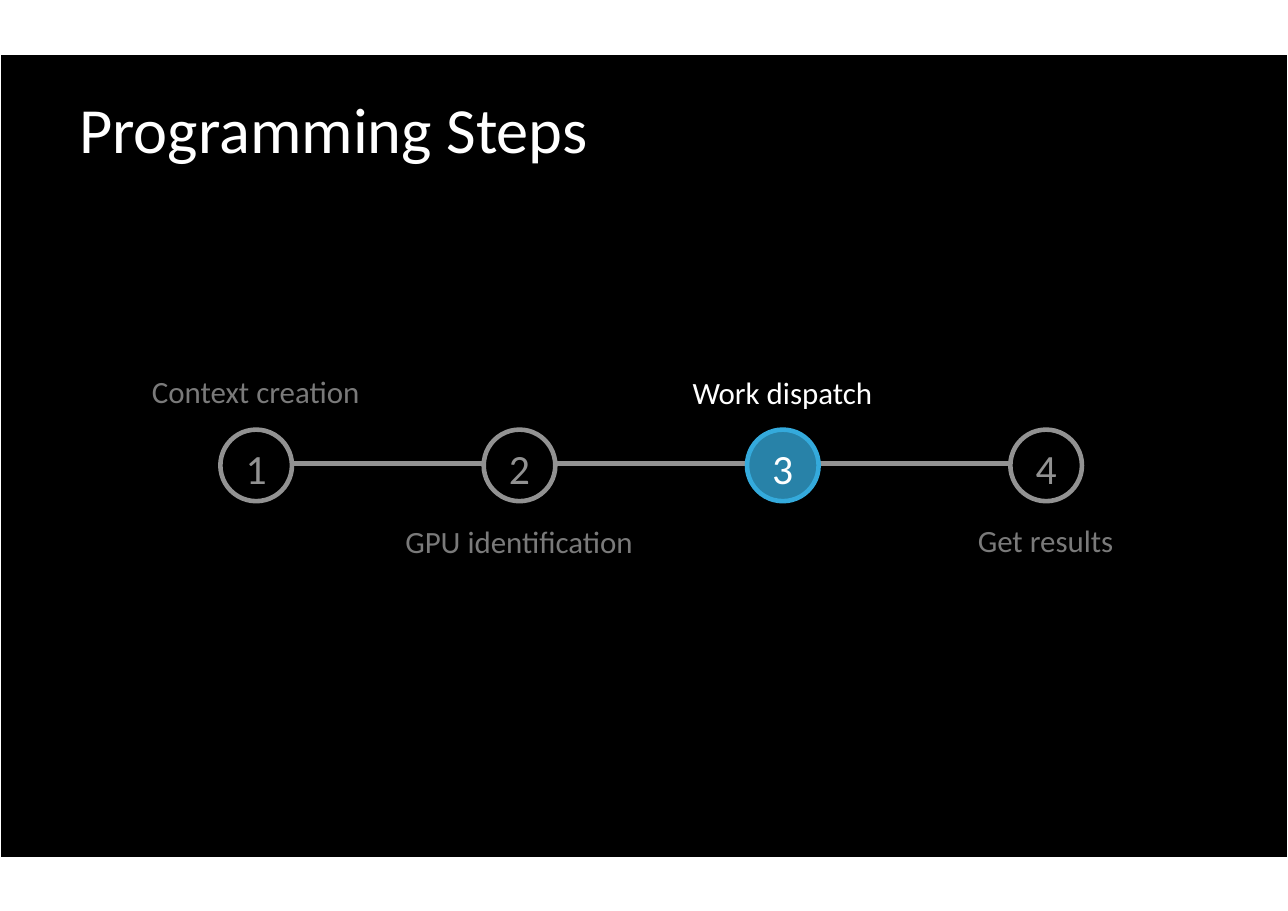
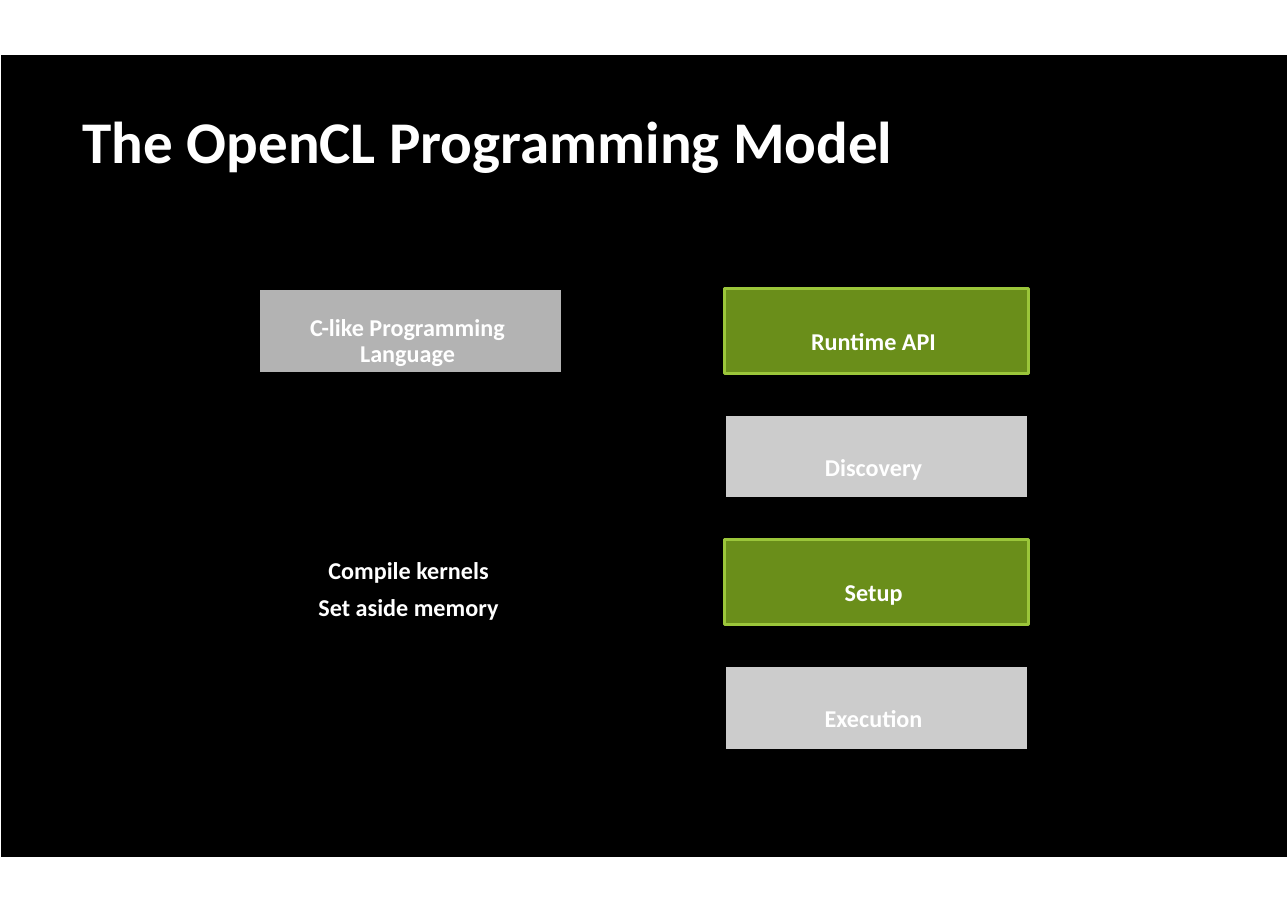
from dataclasses import dataclass

from lxml import etree
from pptx import Presentation
from pptx.dml.color import RGBColor
from pptx.enum.shapes import MSO_CONNECTOR, MSO_SHAPE
from pptx.enum.text import MSO_ANCHOR, PP_ALIGN
from pptx.oxml.ns import qn
from pptx.shapes.autoshape import Shape
from pptx.slide import Slide
from pptx.text.text import TextFrame
from pptx.util import Pt

PX = 9144
FONT = "Calibri"
RECTANGLE = MSO_SHAPE.RECTANGLE
OVAL = MSO_SHAPE.OVAL
STRAIGHT = MSO_CONNECTOR.STRAIGHT
MIDDLE = MSO_ANCHOR.MIDDLE
LEFT = PP_ALIGN.LEFT
CENTER = PP_ALIGN.CENTER

COLORS = {
    "black": "000000",
    "white": "FFFFFF",
    "muted": "7A7A7A",
    "track": "929292",
    "active": "2882A8",
    "active_edge": "34AADC",
    "green": "6A8E1A",
    "green_edge": "9BC63A",
    "gray": "B3B3B3",
    "light_gray": "CCCCCC",
}

FIRST_STEP_X = 232
STEP_PITCH = 239
STEP_Y = 422
STEP_DIAMETER = 65
LABEL_WIDTH = 240
LABEL_HEIGHT = 40

BLOCK_WIDTH = 276
BLOCK_HEIGHT = 77
BLOCK_TOP = 262
BLOCK_PITCH = 114
LANGUAGE_X = 235
RUNTIME_X = 658


@dataclass(frozen=True)
class Step:
    label: str
    label_y: int
    active: bool = False


@dataclass(frozen=True)
class Block:
    label: str
    left: int
    row: int
    fill: str
    edge: str = "black"


STEPS = [
    Step("Context creation", 355),
    Step("GPU identification", 491),
    Step("Work dispatch", 356, active=True),
    Step("Get results", 490),
]

BLOCKS = [
    Block("C-like Programming\vLanguage", LANGUAGE_X, 0, "gray"),
    Block("Runtime API", RUNTIME_X, 0, "green", "green_edge"),
    Block("Discovery", RUNTIME_X, 1, "light_gray"),
    Block("Setup", RUNTIME_X, 2, "green", "green_edge"),
    Block("Execution", RUNTIME_X, 3, "light_gray"),
]


def rgb(color: str) -> RGBColor:
    return RGBColor.from_string(COLORS[color])


def write(frame: TextFrame, text: str, *, size: float, color: str = "white",
          bold: bool = False, align: PP_ALIGN = CENTER, spacing: int = 0,
          drop: int = 0, shift: int = 0) -> None:
    frame.word_wrap = True
    frame.vertical_anchor = MIDDLE
    frame.margin_left = frame.margin_bottom = 0
    frame.margin_top = 2 * drop * PX
    frame.margin_right = 2 * shift * PX
    frame.text = text
    for paragraph in frame.paragraphs:
        paragraph.alignment = align
        if spacing:
            paragraph.line_spacing = Pt(spacing)
        for run in paragraph.runs:
            run.font.name = FONT
            run.font.size = Pt(size)
            run.font.bold = bold
            run.font.color.rgb = rgb(color)


def add_text(slide: Slide, text: str, left: int, top: int, width: int,
             height: int, **text_format) -> None:
    box = slide.shapes.add_textbox(left * PX, top * PX, width * PX, height * PX)
    write(box.text_frame, text, **text_format)


def add_filled(slide: Slide, preset: MSO_SHAPE, left: int, top: int, width: int,
               height: int, fill: str, edge: str = "", weight: int = 2) -> Shape:
    shape = slide.shapes.add_shape(preset, left * PX, top * PX, width * PX, height * PX)
    shape.shadow.inherit = False
    shape.fill.solid()
    shape.fill.fore_color.rgb = rgb(fill)
    if edge:
        shape.line.color.rgb = rgb(edge)
        shape.line.width = Pt(weight)
    else:
        shape.line.fill.background()
    return shape


def add_titled_slide(deck: Presentation, title: str, left: int, middle: int,
                     size: float, bold: bool = False) -> Slide:
    slide = deck.slides.add_slide(deck.slide_layouts[6])
    add_filled(slide, RECTANGLE, 1, 50, 1167, 728, "black")
    add_text(slide, title, left, middle - 35, 1000, 70, size=size, bold=bold, align=LEFT)
    return slide


def add_track(slide: Slide) -> None:
    end_x = FIRST_STEP_X + STEP_PITCH * (len(STEPS) - 1)
    track = slide.shapes.add_connector(
        STRAIGHT, FIRST_STEP_X * PX, (STEP_Y - 1) * PX, end_x * PX, (STEP_Y - 1) * PX)
    track.line.color.rgb = rgb("track")
    track.line.width = Pt(3)
    etree.SubElement(track._element.spPr, qn("a:effectLst"))


def add_step(slide: Slide, index: int, step: Step) -> None:
    center = FIRST_STEP_X + STEP_PITCH * index
    radius = STEP_DIAMETER // 2
    marker = add_filled(
        slide, OVAL, center - radius, STEP_Y - radius, STEP_DIAMETER, STEP_DIAMETER,
        "active" if step.active else "black",
        "active_edge" if step.active else "track", 3)
    write(marker.text_frame, str(index + 1), size=27.2, drop=2,
          color="white" if step.active else "track")
    add_text(slide, step.label, center - LABEL_WIDTH // 2,
             step.label_y - LABEL_HEIGHT // 2, LABEL_WIDTH, LABEL_HEIGHT,
             size=20.2, color="white" if step.active else "muted")


def block_top(row: int) -> int:
    return BLOCK_TOP + BLOCK_PITCH * row


def add_block(slide: Slide, block: Block) -> None:
    panel = add_filled(slide, RECTANGLE, block.left, block_top(block.row),
                       BLOCK_WIDTH, BLOCK_HEIGHT, block.fill, block.edge)
    write(panel.text_frame, block.label, size=15.8, bold=True,
          spacing=17 if "\v" in block.label else 0, drop=9, shift=3)


def main() -> None:
    deck = Presentation()
    deck.slide_width = 1169 * PX
    deck.slide_height = 827 * PX

    steps_slide = add_titled_slide(deck, "Programming Steps", 72, 116, 42.1)
    add_track(steps_slide)
    for index, step in enumerate(STEPS):
        add_step(steps_slide, index, step)

    model_slide = add_titled_slide(
        deck, "The OpenCL Programming Model", 75, 127, 38.6, bold=True)
    for block in BLOCKS:
        add_block(model_slide, block)
    add_text(model_slide, "Compile kernels\nSet aside memory", LANGUAGE_X, block_top(2),
             BLOCK_WIDTH, BLOCK_HEIGHT, size=15.8, bold=True, spacing=24, drop=2, shift=2)

    deck.save("out.pptx")


if __name__ == "__main__":
    main()
